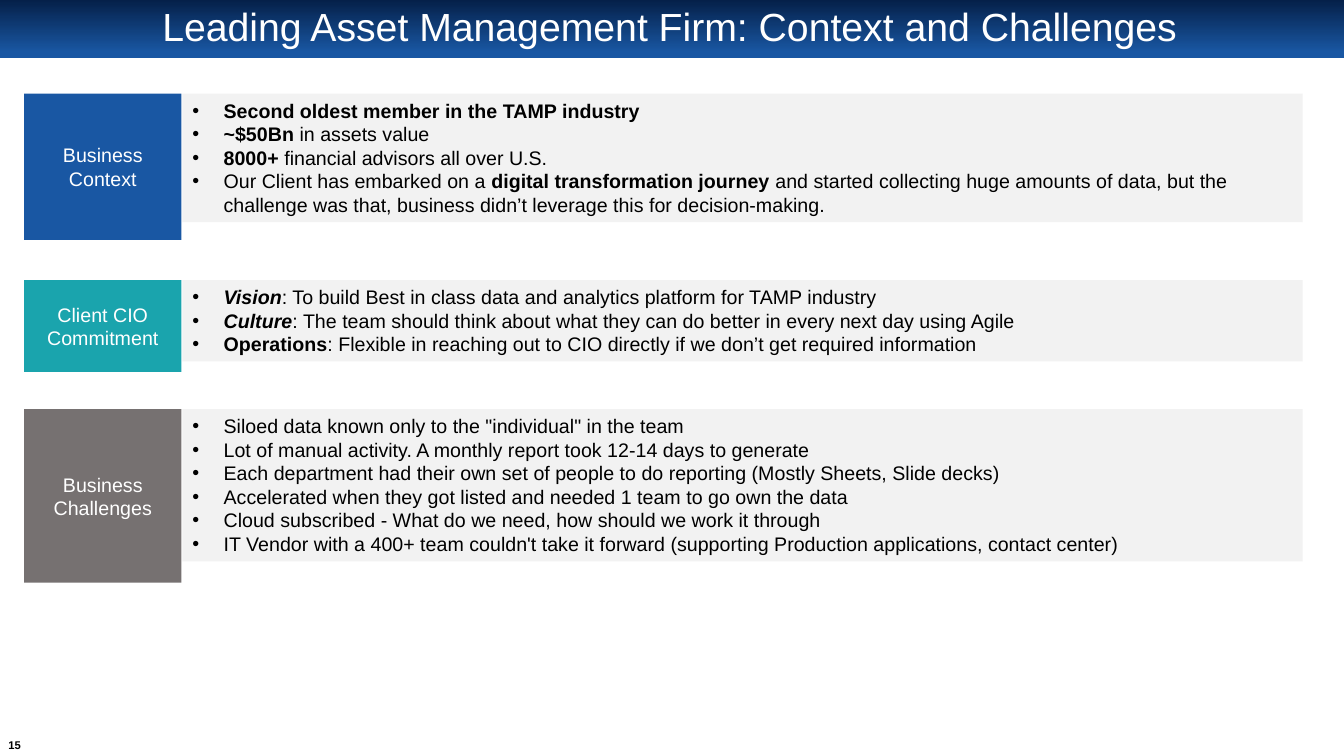
"""Build the slide on a client's context and challenges."""
import dataclasses

import lxml.etree
import pptx
import pptx.dml.color
import pptx.enum.shapes
import pptx.enum.text
import pptx.oxml.ns
import pptx.util

Inches = pptx.util.Inches
ALIGN = pptx.enum.text.PP_ALIGN
FIT = pptx.enum.text.MSO_AUTO_SIZE
MIDDLE = pptx.enum.text.MSO_ANCHOR.MIDDLE


@dataclasses.dataclass(frozen=True)
class Theme:
    """Colours, font and type sizes."""
    font: str = "Arial"
    navy: str = "052049"
    blue: str = "1957A3"
    teal: str = "1AA4AD"
    gray: str = "767171"
    pale: str = "F2F2F2"
    white: str = "FFFFFF"
    black: str = "000000"
    head: int = 28
    body: int = 14
    foot: int = 8


THEME = Theme()
TITLE = "Leading Asset Management Firm: Context and Challenges"
NUMBER = "15"
ROWS = [
    {"label": "Business Context", "fill": THEME.blue, "top": 0.93, "tall": 1.45, "lines": 5, "items": [
        [("Second oldest member in the TAMP industry", "b")],
        [("~$50Bn ", "b"), ("in assets value", "")],
        [("8000+ ", "b"), ("financial advisors all over U.S.", "")],
        [("Our Client has embarked on a ", ""), ("digital transformation journey ", "b"),
         ("and started collecting huge amounts of data, but the challenge was that, "
          "business didn’t leverage this for decision-making.", "")],
    ]},
    {"label": "Client CIO Commitment", "fill": THEME.teal, "top": 2.78, "tall": 0.91, "lines": 3, "items": [
        [("Vision", "bi"), (": To build Best in class data and analytics platform for TAMP industry", "")],
        [("Culture", "bi"),
         (": The team should think about what they can do better in every next day using Agile", "")],
        [("Operations", "b"),
         (": Flexible in reaching out to CIO directly if we don’t get required information", "")],
    ]},
    {"label": "Business Challenges", "fill": THEME.gray, "top": 4.06, "tall": 1.72, "lines": 6, "items": [
        [("Siloed data known only to the \"individual\" in the team", "")],
        [("Lot of manual activity. A monthly report took 12-14 days to generate", "")],
        [("Each department had their own set of people to do reporting (Mostly Sheets, Slide decks)", "")],
        [("Accelerated when they got listed and needed 1 team to go own the data", "")],
        [("Cloud subscribed - What do we need, how should we work it through", "")],
        [("IT Vendor with a 400+ team couldn't take it forward "
          "(supporting Production applications, contact center)", "")],
    ]},
]
LEFT, SPLIT, WIDE, TAG = 0.24, 1.81, 11.11, 1.56
LINE, PAD, INDENT = 0.235, 0.1, 0.31


def rgb(code):
    return pptx.dml.color.RGBColor.from_string(code)


def style(run, size, color, marks=""):
    run.font.name = THEME.font
    run.font.size = pptx.util.Pt(size)
    run.font.color.rgb = rgb(color)
    run.font.bold = "b" in marks
    run.font.italic = "i" in marks


def add_box(slide, left, top, width, height, color=None):
    box = slide.shapes.add_shape(
        pptx.enum.shapes.MSO_SHAPE.RECTANGLE,
        Inches(left), Inches(top), Inches(width), Inches(height))
    box.shadow.inherit = False
    box.line.fill.background()
    if color:
        box.fill.solid()
        box.fill.fore_color.rgb = rgb(color)
    return box


def put_text(frame, text, size, color, marks=""):
    frame.text = text
    frame.vertical_anchor = MIDDLE
    para = frame.paragraphs[0]
    para.alignment = ALIGN.CENTER
    style(para.runs[0], size, color, marks)
    return para


def add_bullet(para, parts):
    para.alignment = ALIGN.LEFT
    props = para._p.get_or_add_pPr()
    props.set("marL", str(Inches(INDENT)))
    props.set("indent", str(-Inches(INDENT)))
    for tag, key, value in (("a:buFont", "typeface", THEME.font), ("a:buChar", "char", "•")):
        lxml.etree.SubElement(props, pptx.oxml.ns.qn(tag)).set(key, value)
    for text, marks in parts:
        run = para.add_run()
        run.text = text
        style(run, THEME.body, THEME.black, marks)


def add_head(slide):
    band = add_box(slide, 0, 0, 13.33, 0.58)
    band.fill.gradient()
    band.fill.gradient_angle = 270
    for stop, color, place in zip(band.fill.gradient_stops, (THEME.navy, THEME.blue), (0, 0.9)):
        stop.color.rgb = rgb(color)
        stop.position = place
    title = slide.shapes.title
    title.element.addprevious(band.element)
    title.left, title.top = Inches(0.66), Inches(0.06)
    title.width, title.height = Inches(11.96), Inches(0.45)
    para = put_text(title.text_frame, TITLE, THEME.head, THEME.white)
    para.line_spacing = 0.9
    title.text_frame.auto_size = FIT.NONE


def add_row(slide, row):
    tag = add_box(slide, LEFT, row["top"], TAG, row["tall"], row["fill"])
    put_text(tag.text_frame, row["label"], THEME.body, THEME.white)
    panel = add_box(slide, SPLIT, row["top"], WIDE, row["lines"] * LINE + PAD, THEME.pale)
    frame = panel.text_frame
    frame.word_wrap = True
    frame.auto_size = FIT.SHAPE_TO_FIT_TEXT
    frame.vertical_anchor = pptx.enum.text.MSO_ANCHOR.TOP
    for index, parts in enumerate(row["items"]):
        add_bullet(frame.add_paragraph() if index else frame.paragraphs[0], parts)


def add_foot(slide):
    box = slide.shapes.add_textbox(Inches(0.02), Inches(7.3), Inches(0.25), Inches(0.19))
    frame = box.text_frame
    frame.margin_left = frame.margin_right = frame.margin_top = frame.margin_bottom = 0
    put_text(frame, NUMBER, THEME.foot, THEME.black, "b")


def main():
    deck = pptx.Presentation()
    deck.slide_width, deck.slide_height = Inches(13.33), Inches(7.5)
    slide = deck.slides.add_slide(deck.slide_layouts[5])
    add_head(slide)
    for row in ROWS:
        add_row(slide, row)
    add_foot(slide)
    deck.save("out.pptx")


if __name__ == "__main__":
    main()
